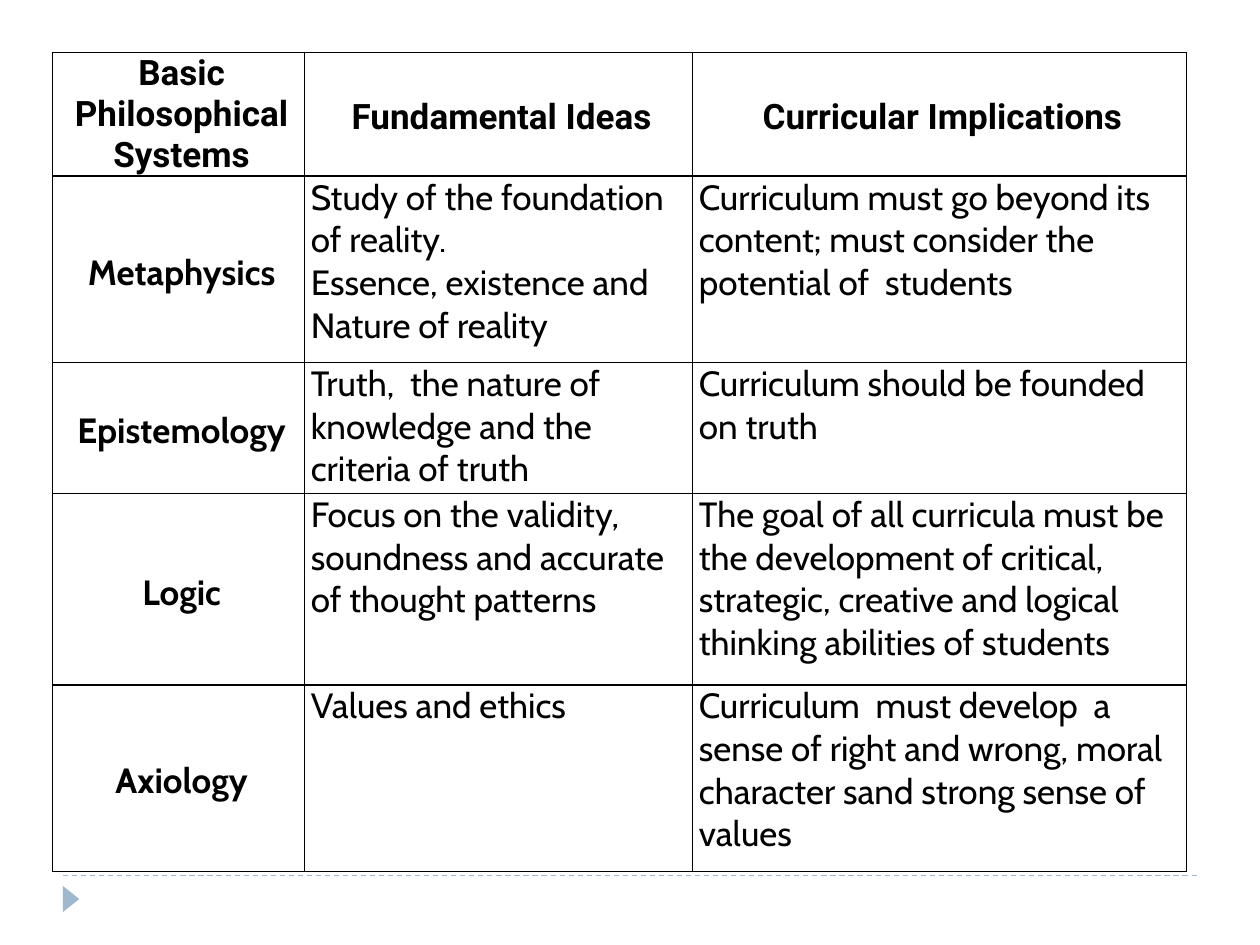
from dataclasses import dataclass

from lxml.etree import SubElement
from pptx import Presentation
from pptx.dml.color import RGBColor
from pptx.enum.dml import MSO_LINE
from pptx.enum.shapes import MSO_CONNECTOR, MSO_SHAPE
from pptx.enum.text import MSO_ANCHOR, PP_ALIGN
from pptx.oxml.ns import qn
from pptx.util import Pt


@dataclass(frozen=True)
class Theme:
    text: str = "000000"
    border: str = "000000"
    accent: str = "9FB8CD"
    header_font: str = "Roboto"
    body_font: str = "Cabin"
    text_size: int = 20
    border_width: int = 1


THEME = Theme()
COLUMN_WIDTHS = (144, 221.8, 282.2)
ROW_HEIGHTS = (70.7, 106.5, 74.9, 109.4, 106.5)
HEADERS = ("Basic Philosophical Systems", "Fundamental Ideas", "Curricular Implications")

# Each system: name, paragraphs of ideas, paragraphs of implications
SYSTEMS = (
    ("Metaphysics",
     ("Study of the foundation of reality.", "Essence, existence and Nature of reality"),
     ("Curriculum must go beyond its content; must consider the potential of  students",)),
    ("Epistemology",
     ("Truth,  the nature of knowledge and the criteria of truth",),
     ("Curriculum should be founded on truth",)),
    ("Logic",
     ("Focus on the validity, soundness and accurate of thought patterns",),
     ("The goal of all curricula must be the development of critical, strategic, "
      "creative and logical thinking abilities of students",)),
    ("Axiology",
     ("Values and ethics",),
     ("Curriculum  must develop  a sense of right and wrong, moral character sand "
      "strong sense of values",)),
)


def add_cell_borders(cell):
    properties = cell._tc.get_or_add_tcPr()
    for position, side in enumerate(("a:lnL", "a:lnR", "a:lnT", "a:lnB")):
        line = properties.makeelement(qn(side), {"w": str(Pt(THEME.border_width))})
        fill = SubElement(line, qn("a:solidFill"))
        SubElement(fill, qn("a:srgbClr"), val=THEME.border)
        properties.insert(position, line)


def fill_cell(cell, paragraphs, font_name, bold=False, centred=False, spacing=None):
    """Write the paragraphs; centred cells with line spacing sit in the middle."""
    cell.margin_left = Pt(3.6)
    cell.margin_right = cell.margin_top = cell.margin_bottom = Pt(0)
    cell.vertical_anchor = MSO_ANCHOR.MIDDLE if spacing else MSO_ANCHOR.TOP
    cell.fill.background()
    add_cell_borders(cell)
    frame = cell.text_frame
    for index, text in enumerate(paragraphs):
        paragraph = frame.add_paragraph() if index else frame.paragraphs[0]
        paragraph.alignment = PP_ALIGN.CENTER if centred else PP_ALIGN.LEFT
        if spacing:
            paragraph.line_spacing = spacing
        run = paragraph.add_run()
        run.text = text
        run.font.name = font_name
        run.font.size = Pt(THEME.text_size)
        run.font.bold = bold
        run.font.color.rgb = RGBColor.from_string(THEME.text)


def add_systems_table(slide):
    frame = slide.shapes.add_table(
        len(ROW_HEIGHTS), len(COLUMN_WIDTHS), Pt(30), Pt(30),
        Pt(sum(COLUMN_WIDTHS)), Pt(sum(ROW_HEIGHTS)))
    table = frame.table
    table.horz_banding = False
    for column, width in zip(table.columns, COLUMN_WIDTHS):
        column.width = Pt(width)
    for row, height in zip(table.rows, ROW_HEIGHTS):
        row.height = Pt(height)

    # Header row: the three-line heading keeps single spacing
    for index, header in enumerate(HEADERS):
        fill_cell(table.cell(0, index), (header,), THEME.header_font, bold=True,
                  centred=True, spacing=1.15 if index else None)

    # One row per philosophical system
    for index, (name, ideas, implications) in enumerate(SYSTEMS, start=1):
        fill_cell(table.cell(index, 0), (name,), THEME.body_font, bold=True,
                  centred=True, spacing=1.15)
        fill_cell(table.cell(index, 1), ideas, THEME.body_font)
        fill_cell(table.cell(index, 2), implications, THEME.body_font)


def add_footer_rule(slide):
    rule = slide.shapes.add_connector(
        MSO_CONNECTOR.STRAIGHT, Pt(36), Pt(500.4), Pt(684), Pt(500.4))
    rule.line.color.rgb = RGBColor.from_string(THEME.accent)
    rule.line.width = Pt(0.75)
    rule.line.dash_style = MSO_LINE.DASH
    SubElement(rule._element.spPr, qn("a:effectLst"))


def add_footer_marker(slide):
    marker = slide.shapes.add_shape(
        MSO_SHAPE.ISOSCELES_TRIANGLE, Pt(33.1), Pt(509), Pt(15), Pt(9.4))
    marker.rotation = 90
    marker.shadow.inherit = False
    marker.fill.solid()
    marker.fill.fore_color.rgb = RGBColor.from_string(THEME.accent)
    marker.line.fill.background()


def main():
    presentation = Presentation()
    presentation.slide_width, presentation.slide_height = Pt(720), Pt(540)
    slide = presentation.slides.add_slide(presentation.slide_layouts[6])

    # Footer decoration lies behind the table
    add_footer_rule(slide)
    add_footer_marker(slide)
    add_systems_table(slide)
    presentation.save("out.pptx")


if __name__ == "__main__":
    main()
